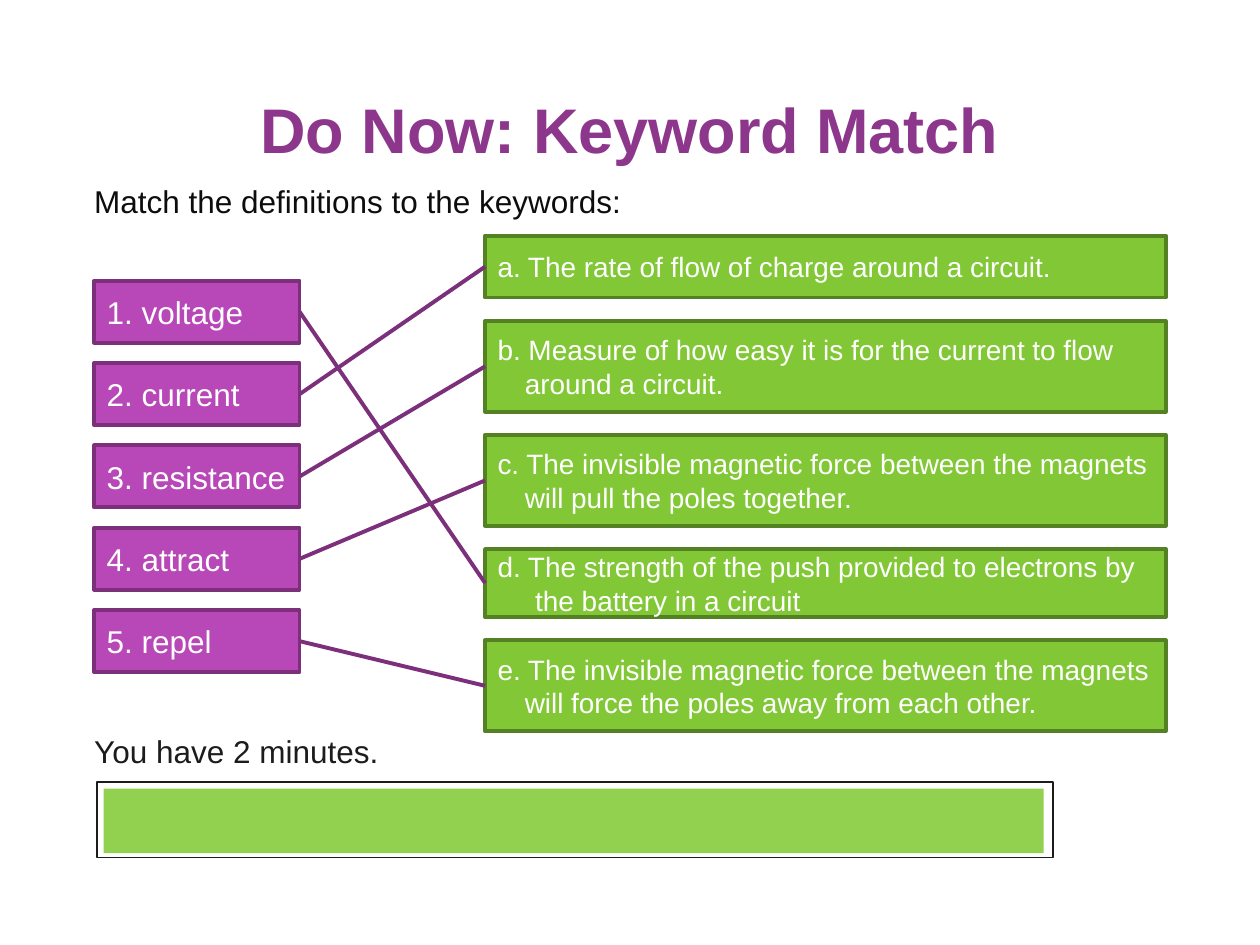
from pptx import Presentation
from pptx.dml.color import RGBColor
from pptx.enum.shapes import MSO_CONNECTOR, MSO_SHAPE
from pptx.enum.text import MSO_ANCHOR, PP_ALIGN
from pptx.oxml.ns import qn
from pptx.util import Cm, Pt
from lxml.etree import SubElement

KEYWORDS = ["1. voltage", "2. current", "3. resistance", "4. attract", "5. repel"]
DEFINITIONS = [
    ("a. The rate of flow of charge around a circuit.", 1.25, 0),
    ("b. Measure of how easy it is for the current to flow around a circuit.", 1.83, 0.55),
    ("c. The invisible magnetic force between the magnets will pull the poles together.", 1.83, 0.55),
    ("d. The strength of the push provided to electrons by the battery in a circuit", 1.37, 0.76),
    ("e. The invisible magnetic force between the magnets will force the poles away from each other.", 1.83, 0.55),
]
MATCHES = [3, 0, 1, 2, 4]

PURPLE_LINE = "7C307C"
KEYWORD_STYLE = {"fill": "B848B8", "line": PURPLE_LINE, "weight": 2.25}
DEFINITION_STYLE = {"fill": "82C836", "line": "548123", "weight": 2.25}

KEYWORD_LEFT, KEYWORD_TOP, KEYWORD_WIDTH, KEYWORD_HEIGHT = 1.9, 5.66, 4.14, 1.25
KEYWORD_STEP = 1.66
DEFINITION_LEFT, DEFINITION_TOP, DEFINITION_WIDTH = 9.78, 4.75, 13.72
DEFINITION_GAP = 0.47


def color(hex_string):
    return RGBColor.from_string(hex_string)


def write(frame, text, size, hex_color, bold=False, align=PP_ALIGN.LEFT, hanging=0):
    paragraph = frame.paragraphs[0]
    paragraph.alignment = align
    if hanging:
        properties = paragraph._p.get_or_add_pPr()
        properties.set("marL", str(Cm(hanging)))
        properties.set("indent", str(-Cm(hanging)))
    span = paragraph.add_run()
    span.text = text
    formats = {"name": "Arial", "size": Pt(size), "bold": bold}
    for name, value in formats.items():
        setattr(span.font, name, value)
    span.font.color.rgb = color(hex_color)


def add_label(page, place, text, size, hex_color, margins=None, **formats):
    box = page.shapes.add_textbox(*map(Cm, place))
    frame = box.text_frame
    frame.word_wrap = True
    for name, value in (margins or {}).items():
        setattr(frame, name, Cm(value))
    write(frame, text, size, hex_color, **formats)


def add_block(page, place, fill, line=None, weight=1):
    block = page.shapes.add_shape(MSO_SHAPE.RECTANGLE, *map(Cm, place))
    block.shadow.inherit = False
    block.fill.solid()
    block.fill.fore_color.rgb = color(fill)
    if line:
        block.line.color.rgb = color(line)
        block.line.width = Pt(weight)
    else:
        block.line.fill.background()
    return block


def add_card(page, place, text, size, style, hanging=0):
    card = add_block(page, place, **style)
    card.text_frame.word_wrap = True
    card.text_frame.vertical_anchor = MSO_ANCHOR.MIDDLE
    write(card.text_frame, text, size, "FFFFFF", hanging=hanging)
    return card


def add_match(page, keyword, definition):
    connector = page.shapes.add_connector(MSO_CONNECTOR.STRAIGHT, 0, 0, 0, 0)
    connector.begin_connect(keyword, 3)
    connector.end_connect(definition, 1)
    connector.line.color.rgb = color(PURPLE_LINE)
    connector.line.width = Pt(2.25)
    SubElement(connector._element.spPr, qn("a:effectLst"))


def add_keywords(page):
    cards = []
    for index, text in enumerate(KEYWORDS):
        top = KEYWORD_TOP + index * KEYWORD_STEP
        place = (KEYWORD_LEFT, top, KEYWORD_WIDTH, KEYWORD_HEIGHT)
        cards.append(add_card(page, place, text, 18, KEYWORD_STYLE))
    return cards


def add_definitions(page):
    cards = []
    top = DEFINITION_TOP
    for text, height, hanging in DEFINITIONS:
        place = (DEFINITION_LEFT, top, DEFINITION_WIDTH, height)
        cards.append(add_card(page, place, text, 16, DEFINITION_STYLE, hanging))
        top += height + DEFINITION_GAP
    return cards


def add_timer(page):
    add_block(page, (1.95, 15.77, 19.28, 1.52), "FFFFFF", "1C1C1C")
    add_block(page, (2.09, 15.9, 18.95, 1.3), "92D050")
    add_label(page, (1.65, 14.63, 7.52, 1.02), "You have 2 minutes.", 18, "1C1C1C")


def main():
    deck = Presentation()
    deck.slide_width, deck.slide_height = Cm(25.4), Cm(19.05)
    page = deck.slides.add_slide(deck.slide_layouts[6])
    flush = dict.fromkeys(("margin_left", "margin_right", "margin_top", "margin_bottom"), 0)
    title_margins = flush | {"margin_top": 0.3, "margin_bottom": 0.3}
    add_label(page, (1.9, 3.66, 21.59, 0.76), "Match the definitions to the keywords:",
              18, "0D0D0D", flush)
    add_label(page, (1.9, 1.52, 21.59, 2.13), "Do Now: Keyword Match",
              36, "8C368C", title_margins, bold=True, align=PP_ALIGN.CENTER)
    keywords = add_keywords(page)
    definitions = add_definitions(page)
    add_timer(page)
    for keyword, match in zip(keywords, MATCHES):
        add_match(page, keyword, definitions[match])
    deck.save("out.pptx")


if __name__ == "__main__":
    main()
